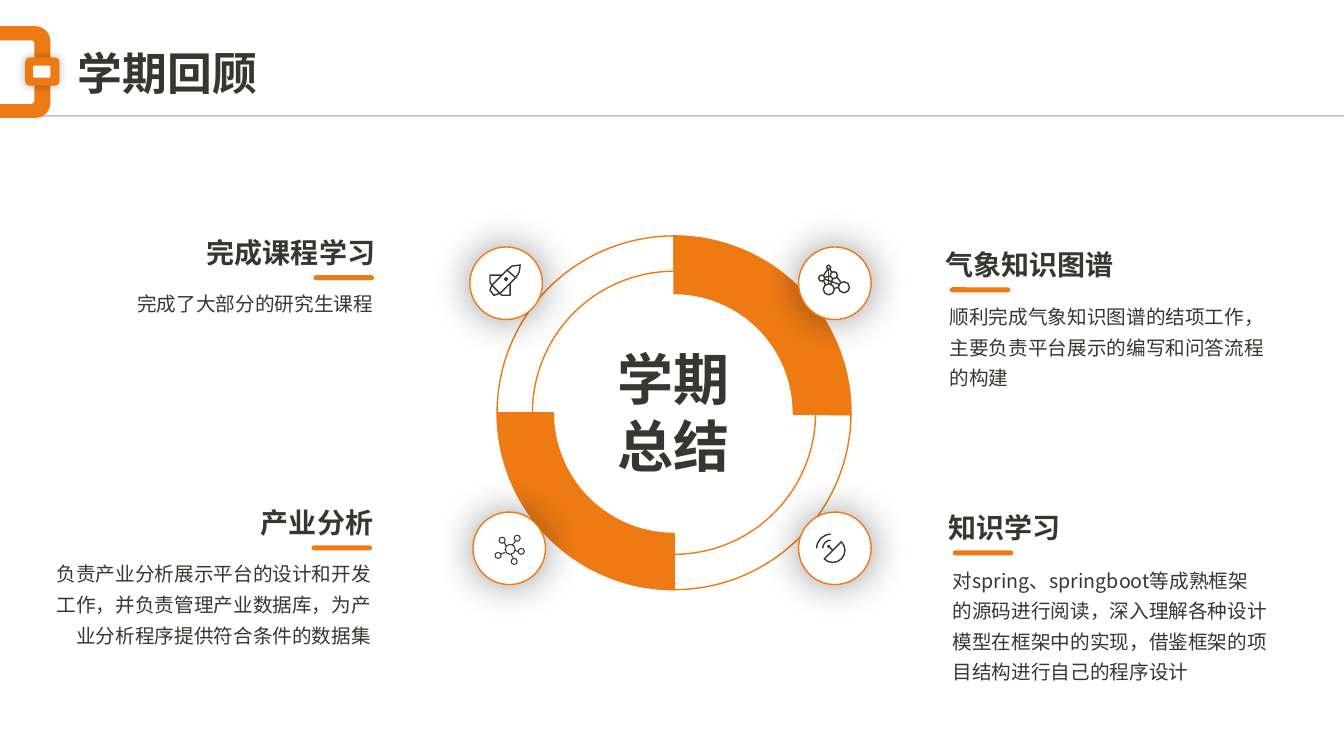
from dataclasses import dataclass
from math import cos, pi, radians, sin, tan

from lxml.etree import SubElement
from pptx import Presentation
from pptx.dml.color import RGBColor
from pptx.enum.shapes import MSO_CONNECTOR, MSO_SHAPE
from pptx.enum.text import MSO_ANCHOR, MSO_AUTO_SIZE, PP_ALIGN
from pptx.oxml.ns import qn
from pptx.util import Inches, Pt

LEFT, MID, RIGHT = PP_ALIGN.LEFT, PP_ALIGN.CENTER, PP_ALIGN.RIGHT
ROUND, OVAL, ARC = MSO_SHAPE.ROUNDED_RECTANGLE, MSO_SHAPE.OVAL, MSO_SHAPE.BLOCK_ARC
STRAIGHT = MSO_CONNECTOR.STRAIGHT
CENTER = MSO_ANCHOR.MIDDLE
GROW, FIXED = MSO_AUTO_SIZE.SHAPE_TO_FIT_TEXT, MSO_AUTO_SIZE.NONE
HEX = {"orange": "EE7A13", "ink": "363632", "white": "FFFFFF", "black": "000000"}
FONT = "Noto Sans CJK SC"
UNITS = 1000
BEND = 4 / 3 * tan(pi / 8)
Points = list[tuple[float, float]]


@dataclass
class Stroke:
    """A line; each bend is the index where a curve's three points begin."""
    points: Points
    closed: bool = False
    bends: tuple[int, ...] = ()


@dataclass
class Icon:
    """A line icon in its round badge."""
    left: float
    top: float
    strokes: list[Stroke]
    width: float = 1


@dataclass
class Topic:
    """A heading with a short bar and body text."""
    left: float
    top: float
    align: PP_ALIGN
    head: str
    body: str
    lines: int


@dataclass
class Band:
    """One quarter of the ring, its depth in percent."""
    turn: int
    depth: float
    fill: str
    end: float = 162


def arc(x: float, y: float, r: float, start: int, turns: int = 1) -> Points:
    """Return curve points for clockwise quarter turns."""
    points = [(x + r * cos(radians(start)), y + r * sin(radians(start)))]
    for i in range(turns):
        a, b = radians(start + 90 * i), radians(start + 90 * (i + 1))
        points += [(x + r * (cos(a) - BEND * sin(a)), y + r * (sin(a) + BEND * cos(a))),
                   (x + r * (cos(b) + BEND * sin(b)), y + r * (sin(b) - BEND * cos(b))),
                   (x + r * cos(b), y + r * sin(b))]
    return points


def ring(x: float, y: float, size: float) -> Stroke:
    """Return a full circle of the given diameter."""
    return Stroke(arc(x, y, size / 2, 0, 4), True, (1, 4, 7, 10))


def link(*points: tuple[float, float]) -> Stroke:
    """Return an open line through the points."""
    return Stroke(list(points))


ROCKET = [
    Stroke([(5.16, 2.63), (5.15, 2.7), (5.12, 2.75), (4.96, 2.91), (4.9, 2.93),
            (4.86, 2.88), (4.88, 2.83), (5.03, 2.68), (5.08, 2.64)], True),
    link((5.03, 2.68), (5.12, 2.76)),
    link((4.98, 2.73), (4.86, 2.73), (4.86, 2.8), (4.88, 2.83), (4.98, 2.93),
         (5.06, 2.93), (5.06, 2.81)),
    ring(5.02, 2.77, 0.03),
]
GRAPH = [
    ring(8.22, 2.65, 0.04), ring(8.15, 2.76, 0.06), ring(8.22, 2.87, 0.11),
    ring(8.27, 2.73, 0.07), ring(8.37, 2.85, 0.11),
    link((8.32, 2.85), (8.28, 2.86)), link((8.18, 2.75), (8.24, 2.74)),
    link((8.24, 2.82), (8.26, 2.76)), link((8.19, 2.83), (8.17, 2.79)),
    link((8.32, 2.82), (8.18, 2.77)), link((8.21, 2.67), (8.17, 2.73)),
    link((8.34, 2.8), (8.3, 2.75)), link((8.22, 2.82), (8.22, 2.67)),
    link((8.23, 2.67), (8.25, 2.7)),
]
HUB = [
    ring(5.06, 5.45, 0.1),
    *[ring(x, y, 0.06) for x, y in
      [(5.13, 5.34), (4.98, 5.36), (4.94, 5.51), (5.1, 5.57), (5.17, 5.47)]],
    link((5.12, 5.36), (5.08, 5.41)), link((5.02, 5.42), (5, 5.38)),
    link((4.96, 5.5), (5.01, 5.48)), link((5.09, 5.54), (5.07, 5.5)),
    link((5.1, 5.46), (5.14, 5.47)),
]
DISH = [
    link((8.26, 5.46), (8.23, 5.43)), ring(8.22, 5.42, 0.02),
    Stroke(arc(8.24, 5.44, 0.08, 180), bends=(1,)),
    Stroke(arc(8.24, 5.44, 0.14, 180), bends=(1,)),
    Stroke(arc(8.26, 5.46, 0.12, -45, 2), True, (1, 4)),
]
ICONS = [Icon(4.66, 2.45, ROCKET), Icon(7.92, 2.45, GRAPH),
         Icon(4.69, 5.08, HUB, 0.75), Icon(7.92, 5.08, DISH)]
BANDS = [Band(180, 10, "white"), Band(0, 10, "white"),
         Band(270, 15.9, "orange"), Band(90, 16.3, "orange", 162.4)]
TOPICS = [
    Topic(9.28, 2.41, LEFT, "气象知识图谱",
          "顺利完成气象知识图谱的结项工作，主要负责平台展示的编写和问答流程的构建", 3),
    Topic(9.31, 5.02, LEFT, "知识学习",
          "对spring、springboot等成熟框架的源码进行阅读，深入理解各种设计模型在框架中的实现，"
          "借鉴框架的项目结构进行自己的程序设计", 4),
    Topic(1.52, 2.29, RIGHT, "完成课程学习", "完成了大部分的研究生课程", 1),
    Topic(1.5, 4.97, RIGHT, "产业分析",
          "负责产业分析展示平台的设计和开发工作，并负责管理产业数据库，为产业分析程序提供符合条件的数据集", 3),
]


def paint(shape, fill: str | None, line: str | None = None, width: float = 1) -> None:
    """Set fill and line and drop the theme shadow."""
    shape.shadow.inherit = False
    if fill:
        shape.fill.solid()
        shape.fill.fore_color.rgb = RGBColor.from_string(HEX[fill])
    else:
        shape.fill.background()
    if line:
        shape.line.color.rgb = RGBColor.from_string(HEX[line])
        shape.line.width = Pt(width)
    else:
        shape.line.fill.background()


def fade(color, share: int) -> None:
    """Make a colour element partly clear."""
    SubElement(color, qn("a:alpha"), val=str(share * 1000))


def glow(shape, blur: int, share: int) -> None:
    """Add a soft shadow with no offset."""
    group = shape._element.spPr.find(qn("a:effectLst"))
    soft = SubElement(group, qn("a:outerShdw"), blurRad=str(Pt(blur)), dist="0",
                      dir="0", algn="ctr", rotWithShape="0")
    fade(SubElement(soft, qn("a:srgbClr"), val=HEX["black"]), share)


def block(slide, kind: MSO_SHAPE, x: float, y: float, w: float, h: float,
          fill: str, line: str | None = None):
    """Add a painted preset shape."""
    shape = slide.shapes.add_shape(kind, Inches(x), Inches(y), Inches(w), Inches(h))
    paint(shape, fill, line)
    return shape


def curve(shape, strokes: list[Stroke]) -> None:
    """Turn the marked triples of line points into curves."""
    route = shape._element.spPr.find(".//" + qn("a:path"))
    sides, first = route.findall(qn("a:lnTo")), 0
    for stroke in strokes:
        for bend in stroke.bends:
            trio = sides[first + bend - 1:first + bend + 2]
            bow = SubElement(route, qn("a:cubicBezTo"))
            trio[0].addprevious(bow)
            for side in trio:
                bow.append(side[0])
                route.remove(side)
        first += len(stroke.points) - 1


def trace(slide, strokes: list[Stroke], fill: str | None,
          line: str | None = None, width: float = 1) -> None:
    """Draw strokes as one freeform."""
    pen = None
    for stroke in strokes:
        spots = [(x * UNITS, y * UNITS) for x, y in stroke.points]
        if pen is None:
            pen = slide.shapes.build_freeform(*spots[0], scale=Inches(1) / UNITS)
        else:
            pen.move_to(*spots[0])
        pen.add_line_segments(spots[1:], close=stroke.closed)
    shape = pen.convert_to_shape()
    curve(shape, strokes)
    paint(shape, fill, line, width)


def style(para, size: int, bold: bool, align: PP_ALIGN, face: str = FONT) -> None:
    """Format a paragraph, with its East Asian font."""
    para.alignment = align
    font = para.font
    font.size, font.bold, font.name = Pt(size), bold, face
    font.color.rgb = RGBColor.from_string(HEX["ink"])
    SubElement(para._p.pPr.find(qn("a:defRPr")), qn("a:ea"), typeface=FONT)


def write(slide, text: str, x: float, y: float, w: float, h: float,
          size: int, bold: bool, align: PP_ALIGN, space: float = 1) -> None:
    """Add a wrapped text box."""
    frame = slide.shapes.add_textbox(Inches(x), Inches(y), Inches(w), Inches(h)).text_frame
    frame.word_wrap, frame.auto_size = True, GROW
    para = frame.paragraphs[0]
    para.text, para.line_spacing = text, space
    style(para, size, bold, align)


def header(slide) -> None:
    """Draw the rule, the orange clasp and the title."""
    rule = slide.shapes.add_connector(STRAIGHT, Inches(0.25), Inches(1.15),
                                      Inches(13.33), Inches(1.15))
    rule.line.color.rgb = RGBColor.from_string(HEX["ink"])
    rule.line.width = Pt(1)
    spot = rule._element.spPr
    fade(spot.find(".//" + qn("a:srgbClr")), 31)
    SubElement(spot, qn("a:effectLst"))
    for top, side, base, r, fill in [(0.26, 0.5, 1.17, 0.15, "orange"),
                                     (0.4, 0.34, 1.03, 0.03, "white")]:
        edge = [(0, top), *arc(side - r, top + r, r, -90),
                *arc(side - r, base - r, r, 0), (0, base)]
        trace(slide, [Stroke(edge, True, (2, 6))], fill)
    glow(block(slide, ROUND, 0.25, 0.57, 0.34, 0.28, "orange"), 6, 30)
    block(slide, ROUND, 0.33, 0.65, 0.17, 0.12, "white").adjustments[0] = 0.1
    title = slide.shapes.title
    title.left, title.top = Inches(0.67), Inches(0.4)
    title.width, title.height = Inches(11.9), Inches(0.64)
    frame = title.text_frame
    frame.text, frame.vertical_anchor, frame.auto_size = "学期回顾", CENTER, FIXED
    style(frame.paragraphs[0], 32, True, LEFT, "Arial")


def wheel(slide) -> None:
    """Draw the ring, its badges and the centre text."""
    for band in BANDS:
        part = block(slide, ARC, 4.93, 2.34, 3.51, 3.51, band.fill, "orange")
        part.rotation = band.turn
        for i, value in enumerate((107.98, band.end, band.depth / 100)):
            part.adjustments[i] = value
    for icon in ICONS:
        glow(block(slide, OVAL, icon.left, icon.top, 0.72, 0.72, "white", "orange"), 28, 40)
    for icon in ICONS:
        trace(slide, icon.strokes, None, "ink", icon.width)
    write(slide, "学期总结", 5.84, 3.37, 1.68, 1.45, 40, True, MID)


def story(slide, topic: Topic) -> None:
    """Draw one topic beside the ring."""
    x, y, align = topic.left, topic.top, topic.align
    shift, inset = (0.04, 0.14) if align == LEFT else (-1.04, 1.59)
    drop = 0.5 if align == LEFT else 0.49
    write(slide, topic.head, x, y, 2.3, 0.44, 20, True, align)
    write(slide, topic.body, x + shift, y + drop, 3.32, 0.07 + 0.31 * topic.lines,
          14, False, align, 1.3)
    block(slide, ROUND, x + inset, y + 0.44, 0.6, 0.05, "orange").adjustments[0] = 0.5


def main() -> None:
    """Build and save the slide."""
    deck = Presentation()
    deck.slide_width, deck.slide_height = Inches(13.33), Inches(7.5)
    slide = deck.slides.add_slide(deck.slide_layouts[5])
    header(slide)
    wheel(slide)
    for topic in TOPICS:
        story(slide, topic)
    deck.save("out.pptx")


if __name__ == "__main__":
    main()
